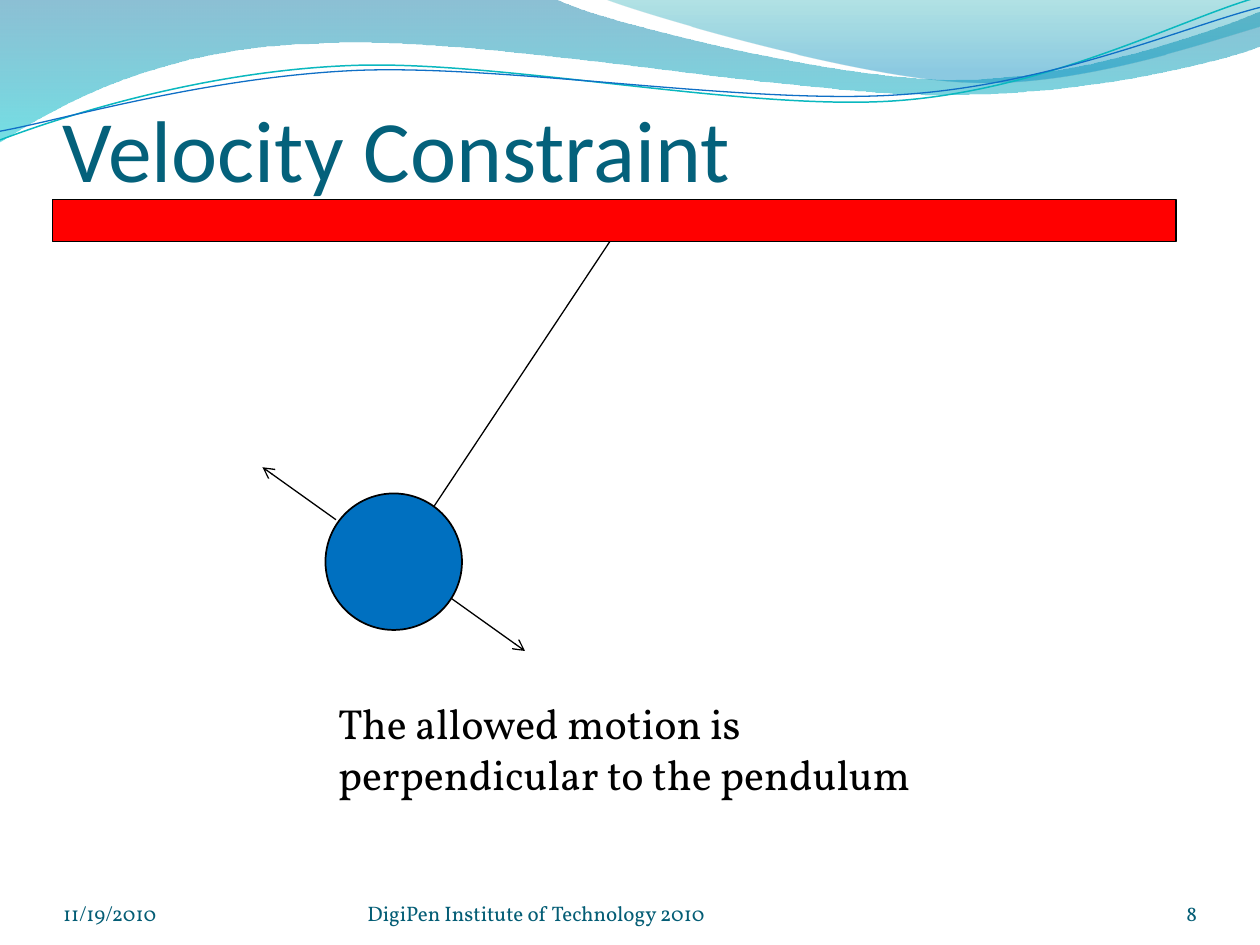
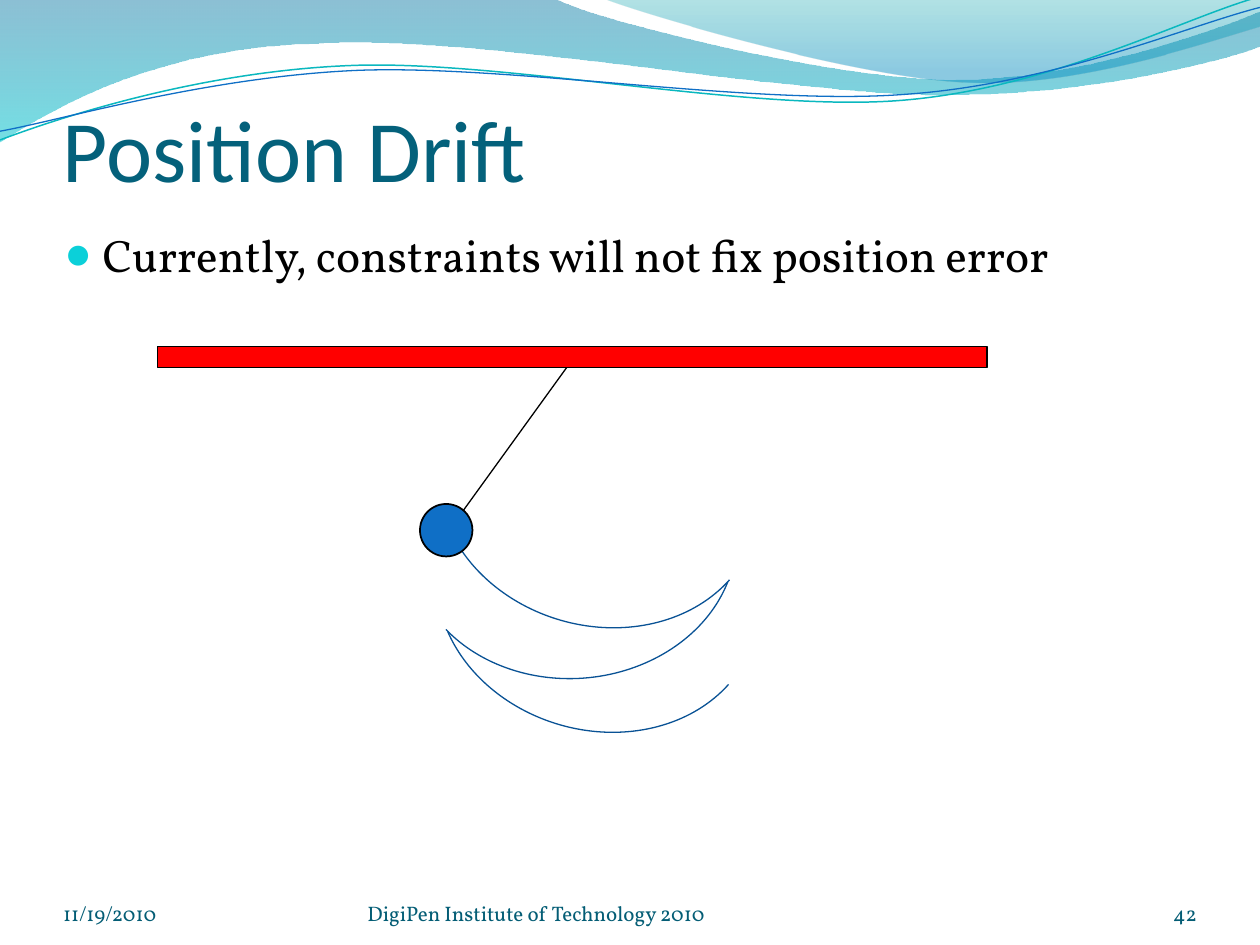
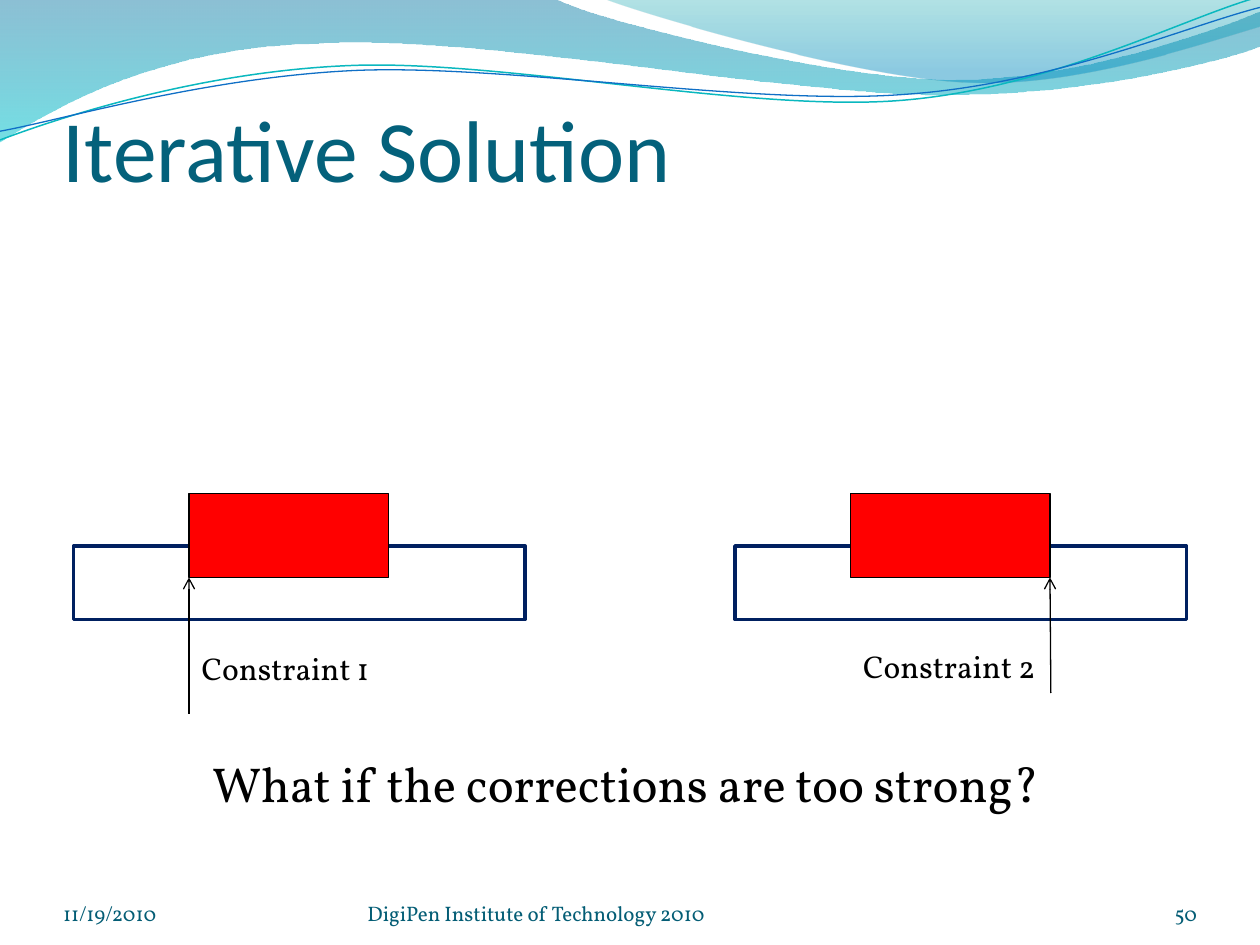
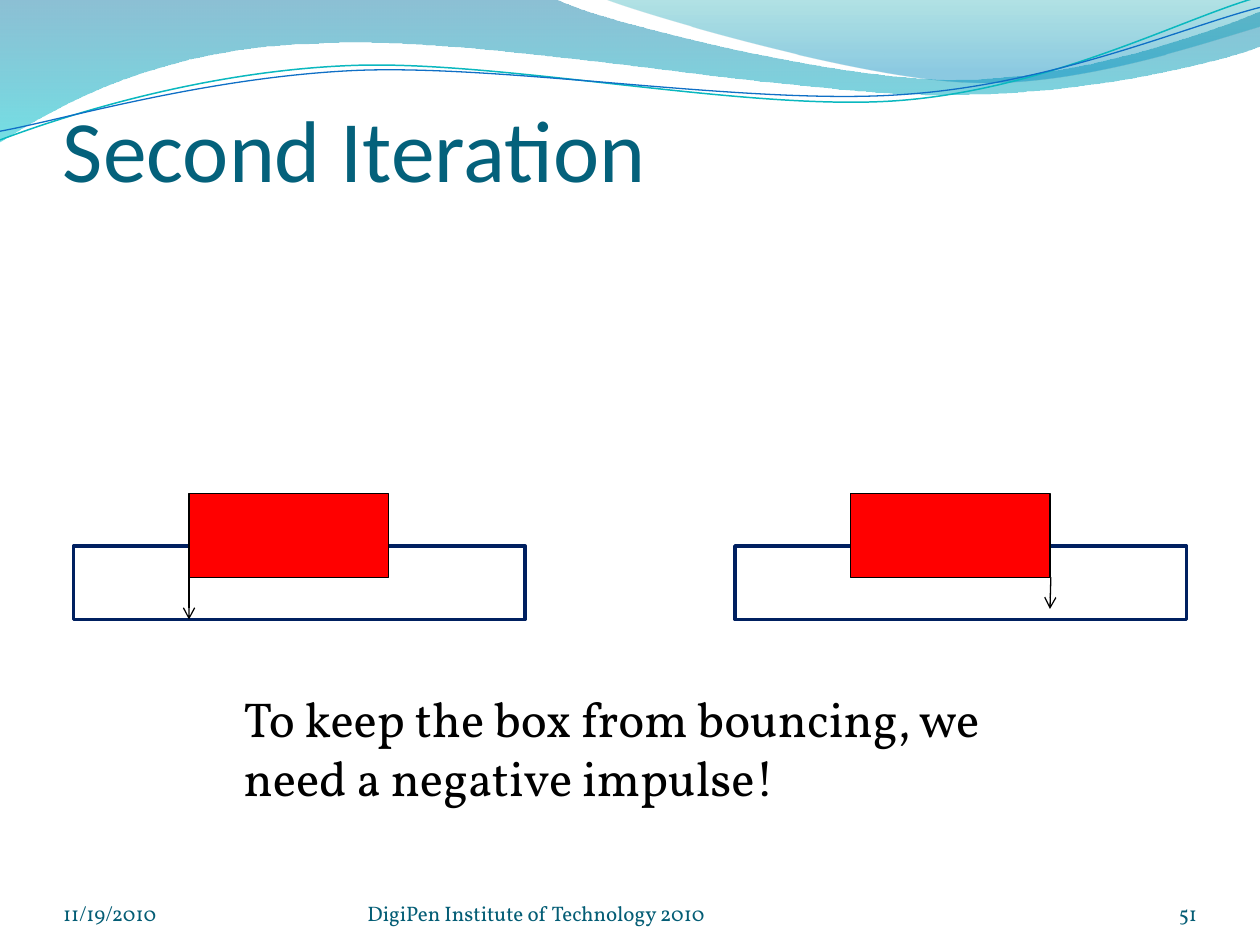
import math

from pptx import Presentation
from pptx import util as u
from pptx.dml import color
from pptx.enum import shapes, text
from pptx.oxml import ns, xmlchemy

SCALE = 914400 // 288
HEADING_FONT = "Calibri"
BODY_FONT = "Vollkorn"
BLACK = "000000"
TITLE_COLOUR = "04617B"
FOOTER_COLOUR = "045D75"
BULLET_COLOUR = "0BD0D9"
RED = "FF0000"
NAVY = "002060"
ARC_BLUE = "095295"
CURVE_TILT = -2.7
RECTANGLE = shapes.MSO_SHAPE.RECTANGLE
OVAL = shapes.MSO_SHAPE.OVAL

DATE = "11/19/2010"
FOOTER = "DigiPen Institute of Technology 2010"

LEFT_WAVE = [
    [(0, 0)], [(1267, -3)],
    [(1371, 49), (1912, 181), (2183, 181)],
    [(2457, 181), (2759, 75), (2880, 26)],
    [(2883, 104)],
    [(2831, 127), (2506, 219), (2148, 216)],
    [(1791, 216), (1100, 81), (740, 98)],
    [(372, 104), (132, 239), (-3, 325)],
    [(0, 0)],
]
RIGHT_WAVE = [
    [(1380, -3)],
    [(1466, 32), (1964, 179), (2215, 187)],
    [(2465, 199), (2768, 92), (2880, 60)],
    [(2880, 0)], [(1380, -3)],
]
TEAL_CURVE = [
    [(0, 320)],
    [(138, 268), (455, 164), (798, 150)],
    [(1138, 135), (1708, 256), (2053, 230)],
    [(2399, 204), (2701, 43), (2874, -6)],
]
BLUE_CURVE = [
    [(0, 300)],
    [(135, 276), (472, 176), (815, 161)],
    [(1161, 147), (1719, 242), (2065, 216)],
    [(2408, 193), (2710, 60), (2880, 17)],
]


def px(value):
    return u.Emu(round(value * SCALE))


def rgb(value):
    return color.RGBColor.from_string(value)


def add_element(parent, tag, **attributes):
    element = xmlchemy.OxmlElement(tag)
    for name, value in attributes.items():
        element.set(name, str(value))
    parent.append(element)


def set_line(shape, colour, width):
    shape.line.color.rgb = rgb(colour)
    shape.line.width = u.Pt(width)


def add_shape(slide, kind, box, fill=None, line=BLACK, width=1):
    shape = slide.shapes.add_shape(kind, *map(px, box))
    shape.shadow.inherit = False
    if fill:
        shape.fill.solid()
        shape.fill.fore_color.rgb = rgb(fill)
    else:
        shape.fill.background()
    set_line(shape, line, width)
    return shape


def add_arc(slide, left, top, rotation):
    arc = add_shape(slide, shapes.MSO_SHAPE.ARC, (left, top, 744, 624),
                    line=ARC_BLUE, width=0.75)
    arc.adjustments[0] = 11.18
    arc.adjustments[1] = 89.87
    arc.rotation = rotation


def add_line(slide, start, end, arrow=None):
    connector = slide.shapes.add_connector(
        shapes.MSO_CONNECTOR.STRAIGHT, *map(px, start + end))
    set_line(connector, BLACK, 0.75)
    if arrow:
        add_element(connector.line._get_or_add_ln(), f"a:{arrow}End", type="arrow")
    add_element(connector._element.spPr, "a:effectLst")


def add_text(slide, content, box, size=12, colour=BLACK, font=BODY_FONT,
             align=text.PP_ALIGN.LEFT, anchor=text.MSO_ANCHOR.TOP,
             insets=(29, 14, 29, 14), bullet=False, grow=False):
    frame = slide.shapes.add_textbox(*map(px, box)).text_frame
    frame.word_wrap = True
    if grow:
        frame.auto_size = text.MSO_AUTO_SIZE.SHAPE_TO_FIT_TEXT
    frame.vertical_anchor = anchor
    (frame.margin_left, frame.margin_top,
     frame.margin_right, frame.margin_bottom) = map(px, insets)
    paragraph = frame.paragraphs[0]
    paragraph.text = content
    paragraph.alignment = align
    if bullet:
        properties = paragraph._p.get_or_add_pPr()
        properties.set("marL", str(px(86)))
        properties.set("indent", str(px(-86)))
        add_element(properties, "a:buClr")
        add_element(properties[-1], "a:srgbClr", val=BULLET_COLOUR)
        add_element(properties, "a:buSzPct", val=95000)
        add_element(properties, "a:buFont", typeface=HEADING_FONT)
        add_element(properties, "a:buChar", char="●")
    run_font = paragraph.runs[0].font
    run_font.name = font
    run_font.size = u.Pt(size)
    run_font.color.rgb = rgb(colour)


def add_outline(slide, outline, closed):
    start, *rest = [(px(x), px(y)) for segment in outline for x, y in segment]
    builder = slide.shapes.build_freeform(*start)
    builder.add_line_segments(rest, close=closed)
    shape = builder.convert_to_shape()
    shape.shadow.inherit = False
    lines = iter(list(shape._element.iter(ns.qn("a:lnTo"))))
    for segment in outline[1:]:
        parts = [next(lines) for _ in segment]
        if len(parts) == 3:
            bezier = xmlchemy.OxmlElement("a:cubicBezTo")
            parts[0].addprevious(bezier)
            for part in parts:
                bezier.append(part[0])
                part.getparent().remove(part)
    return shape


def add_wave(slide, outline, stops):
    wave = add_outline(slide, outline, True)
    wave.line.fill.background()
    wave.fill.gradient()
    wave.fill.gradient_angle = 270
    elements = list(wave._element.spPr.iter(ns.qn("a:gs")))
    for stop, element, (position, colour, opacity) in zip(
            wave.fill.gradient_stops, elements, stops):
        stop.position = position
        stop.color.rgb = rgb(colour)
        add_element(element[0], "a:alpha", val=opacity * 1000)


def turn(point, centre, degrees):
    angle = math.radians(degrees)
    x, y = point[0] - centre[0], point[1] - centre[1]
    return (centre[0] + x * math.cos(angle) - y * math.sin(angle),
            centre[1] + x * math.sin(angle) + y * math.cos(angle))


def add_curve(slide, outline, centre, colour, width):
    level = [[turn(point, centre, -CURVE_TILT) for point in segment]
             for segment in outline]
    curve = add_outline(slide, level, False)
    curve.rotation = CURVE_TILT
    curve.fill.background()
    set_line(curve, colour, width)


def add_footer(slide, content, left, width, align=text.PP_ALIGN.LEFT):
    add_text(slide, content, (left, 2002, width, 115), colour=FOOTER_COLOUR,
             align=align, anchor=text.MSO_ANCHOR.BOTTOM, insets=(0, 0, 0, 0))


def new_slide(presentation, title, number):
    slide = presentation.slides.add_slide(presentation.slide_layouts[6])
    add_wave(slide, LEFT_WAVE, [(0, "0074A1", 45), (1, "00C6CF", 55)])
    add_wave(slide, RIGHT_WAVE, [(0, "00A1A9", 30), (0.8, "008BBF", 45)])
    add_curve(slide, TEAL_CURVE, (1437, 166), "0AB8BF", 0.85)
    add_curve(slide, BLUE_CURVE, (1439, 170), "0F6FC6", 0.75)
    add_text(slide, title, (144, 96, 2592, 360), size=50, colour=TITLE_COLOUR,
             font=HEADING_FONT, anchor=text.MSO_ANCHOR.BOTTOM, insets=(0, 14, 0, 0))
    add_footer(slide, DATE, 144, 672)
    add_footer(slide, str(number), 2496, 240, text.PP_ALIGN.RIGHT)
    add_footer(slide, FOOTER, 840, 1056)
    return slide


def add_resting_boxes(slide):
    for left in (168, 1680):
        add_shape(slide, RECTANGLE, (left, 1248, 1032, 168), line=NAVY, width=2)
        add_shape(slide, RECTANGLE, (left + 264, 1128, 456, 192), fill=RED)


def velocity_constraint(presentation):
    slide = new_slide(presentation, "Velocity Constraint", 8)
    add_shape(slide, RECTANGLE, (120, 456, 2568, 96), fill=RED)
    add_line(slide, (1394, 552), (900, 1296))
    add_line(slide, (768, 1188), (600, 1068), arrow="tail")
    add_text(slide, "The allowed motion is perpendicular to the pendulum",
             (744, 1581, 1416, 262), size=24, grow=True)
    add_line(slide, (1200, 1488), (1032, 1368), arrow="head")
    add_shape(slide, OVAL, (744, 1128, 312, 312), fill="0070C0")


def position_drift(presentation):
    slide = new_slide(presentation, "Position Drift", 42)
    add_text(slide, "Currently, constraints will not fix position error",
             (120, 504, 2592, 1426), size=26, bullet=True)
    add_line(slide, (1299, 835), (1022, 1218))
    add_arc(slide, 996, 806, 16.1)
    add_arc(slide, 994, 1045, 16.1)
    add_arc(slide, 939, 927, 355.8)
    add_shape(slide, OVAL, (960, 1152, 120, 120), fill="0F6FC6")
    add_shape(slide, RECTANGLE, (360, 792, 1896, 48), fill=RED)


def iterative_solution(presentation):
    slide = new_slide(presentation, "Iterative Solution", 50)
    add_resting_boxes(slide)
    add_line(slide, (432, 1632), (432, 1320), arrow="tail")
    add_line(slide, (2402, 1584), (2400, 1320), arrow="tail")
    add_text(slide, "Constraint 2", (1944, 1464, 504, 116), size=18, grow=True)
    add_text(slide, "Constraint 1", (432, 1469, 480, 116), size=18, grow=True)
    add_text(slide, "What if the corrections are too strong?",
             (456, 1708, 2088, 165), size=28, grow=True)


def second_iteration(presentation):
    slide = new_slide(presentation, "Second Iteration", 51)
    add_resting_boxes(slide)
    add_line(slide, (432, 1296), (432, 1416), arrow="tail")
    add_line(slide, (2402, 1320), (2400, 1392), arrow="tail")
    add_text(slide, "To keep the box from bouncing, we need a negative impulse!",
             (528, 1560, 1752, 300), size=28, grow=True)


def main():
    presentation = Presentation()
    presentation.slide_width = px(2880)
    presentation.slide_height = px(2160)
    velocity_constraint(presentation)
    position_drift(presentation)
    iterative_solution(presentation)
    second_iteration(presentation)
    presentation.save("out.pptx")


if __name__ == "__main__":
    main()
